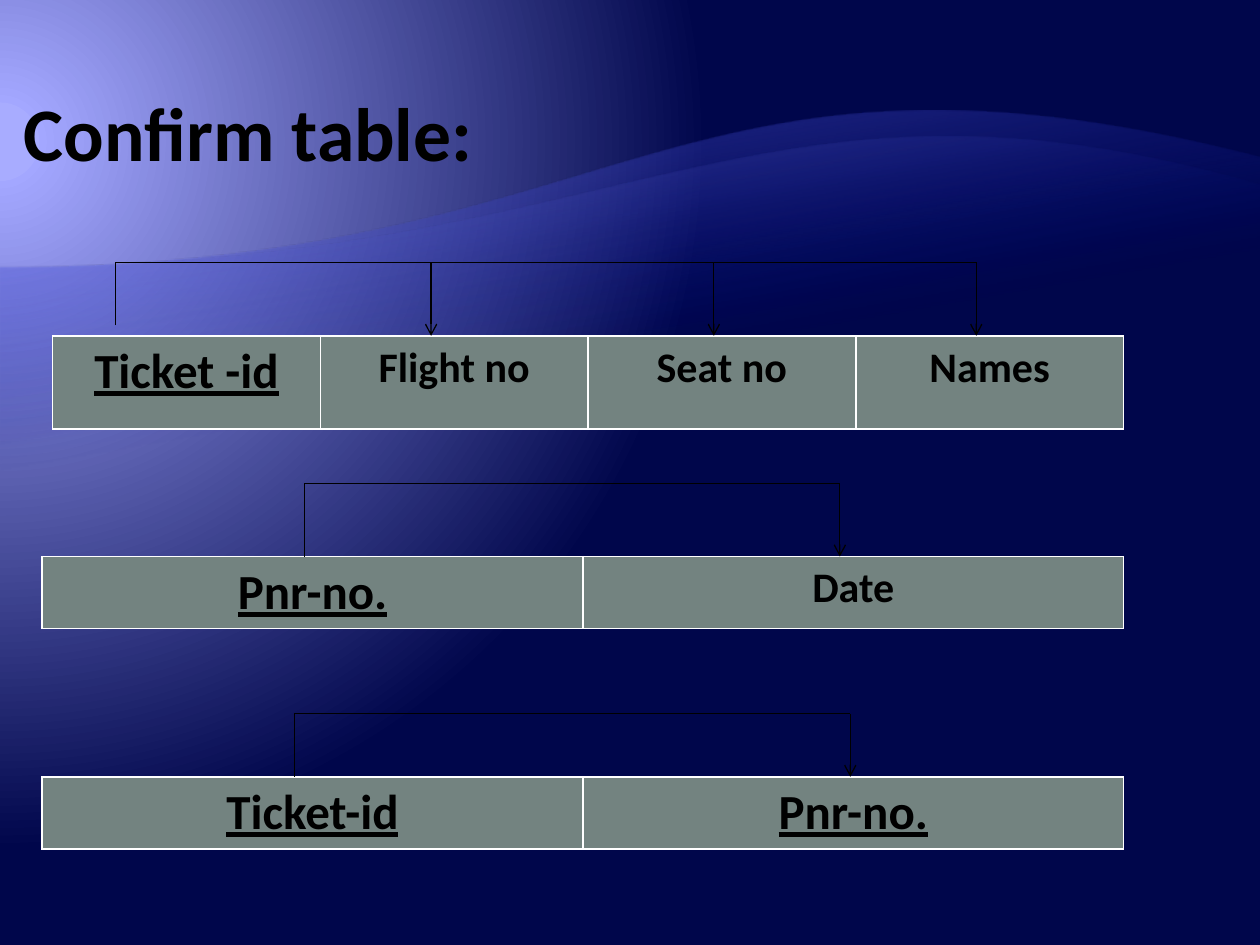
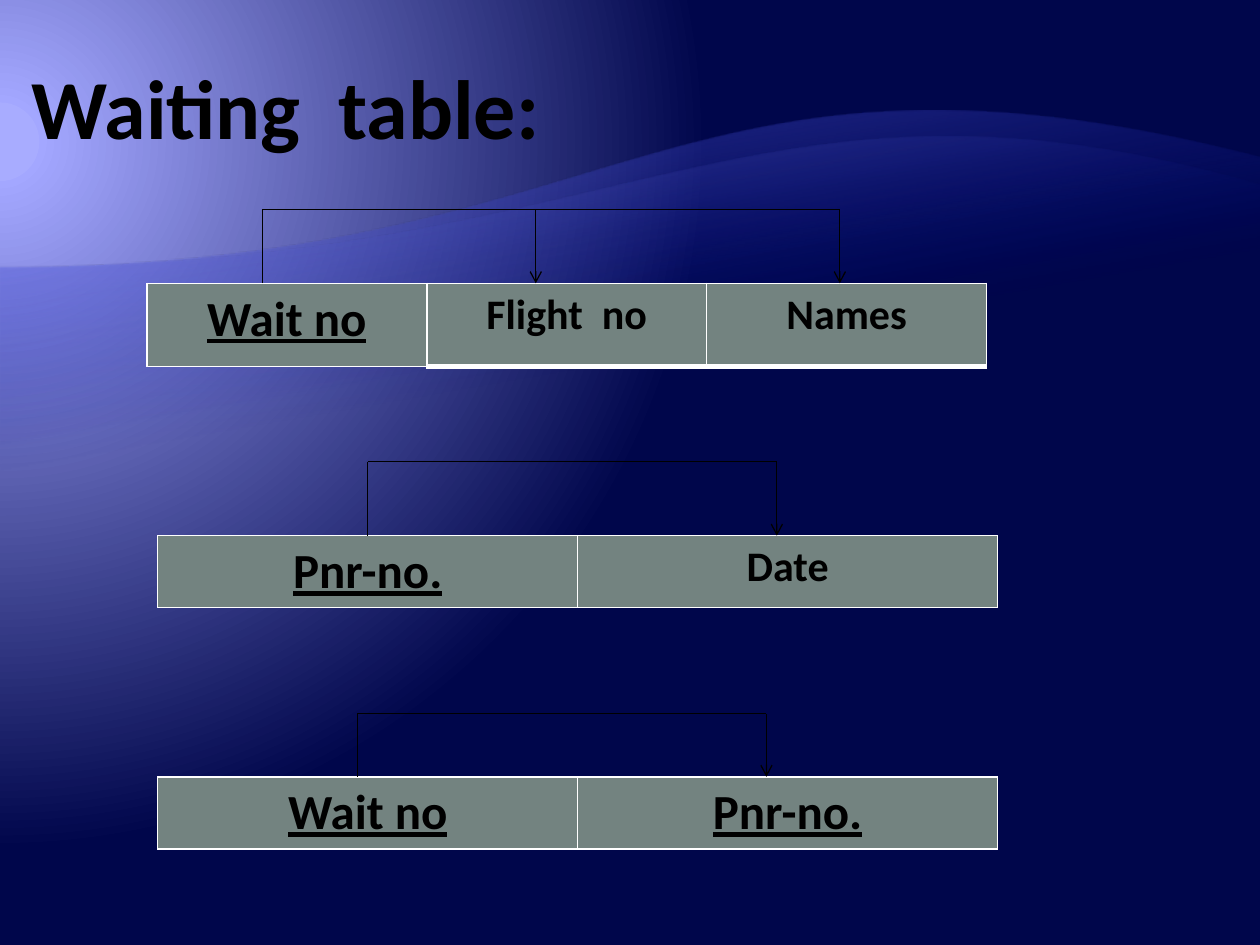
"""Build two slides of relation tables with arrows showing their functional dependencies."""
from dataclasses import dataclass

from pptx import Presentation
from pptx.dml.color import RGBColor
from pptx.enum.shapes import MSO_CONNECTOR
from pptx.enum.text import MSO_ANCHOR, PP_ALIGN
from pptx.oxml import parse_xml
from pptx.oxml.ns import nsdecls, qn
from pptx.util import Cm, Pt

BLACK = RGBColor(0x00, 0x00, 0x00)
WHITE = RGBColor(0xFF, 0xFF, 0xFF)
CELL_GREY = RGBColor(0x73, 0x83, 0x80)
GLOW = RGBColor(0xA8, 0xAC, 0xFF)
LAVENDER = RGBColor(0xA3, 0xA7, 0xFF)
NAVY = RGBColor(0x00, 0x06, 0x4B)
ROYAL = RGBColor(0x00, 0x0D, 0x9E)
PERIWINKLE = RGBColor(0x79, 0x7F, 0xFF)

FONT = "Calibri"
SLIDE_WIDTH, SLIDE_HEIGHT = 25.4, 19.05
KEY_SIZE, FIELD_SIZE = 28, 24
ROW_HEIGHT = 1.45
CURVE_STEPS = 60

GLOW_PATH = ('<a:path path="circle">'
             '<a:fillToRect l="20000" t="30000" r="135000" b="100000"/></a:path>')
WAVE_DIRECTION = f'<a:lin ang="{260 * 60000}" scaled="0"/>'


@dataclass
class Relation:
    """A one-row table whose first column determines the others; lengths in cm."""
    fields: list
    left: float
    top: float
    width: float
    bar_y: float
    stems: list
    keys: int = 1
    height: float = ROW_HEIGHT
    source_gap: float = 0
    field_bottom: float = 1


def gradient(stops, direction):
    """Return a gradient fill from (percent, colour, opacity) stops."""
    marks = "".join(
        f'<a:gs pos="{pos * 1000}"><a:srgbClr val="{color}">'
        f'<a:alpha val="{opacity * 1000}"/></a:srgbClr></a:gs>'
        for pos, color, opacity in stops)
    return parse_xml(f'<a:gradFill {nsdecls("a")} rotWithShape="1">'
                     f'<a:gsLst>{marks}</a:gsLst>{direction}</a:gradFill>')


def replace_solid(properties, fill):
    """Swap the solid fill directly inside a properties element."""
    properties.replace(properties.find(qn("a:solidFill")), fill)


def paint_background(slide):
    """Give the slide its radial glow."""
    slide.background.fill.solid()
    slide.background.fill.fore_color.rgb = NAVY
    stops = [(5, GLOW, 100), (5, LAVENDER, 100), (90, NAVY, 100)]
    replace_solid(slide.element.find(".//" + qn("p:bgPr")), gradient(stops, GLOW_PATH))


def bezier(points, t):
    """Return the point at t on a cubic curve."""
    weights = ((1 - t) ** 3, 3 * t * (1 - t) ** 2, 3 * t * t * (1 - t), t ** 3)
    return tuple(sum(w * p[axis] for w, p in zip(weights, points)) for axis in (0, 1))


def add_wave(slide, curve, bottom, color, opacity):
    """Draw a translucent area from a curved upper edge down to bottom."""
    edge = [bezier(curve, step / CURVE_STEPS) for step in range(CURVE_STEPS + 1)]
    outline = [(Cm(x), Cm(y)) for x, y in [(0, bottom), *edge, (SLIDE_WIDTH, bottom)]]
    builder = slide.shapes.build_freeform(*outline[0])
    builder.add_line_segments(outline[1:], close=True)
    wave = builder.convert_to_shape()
    wave.shadow.inherit = False
    wave.line.fill.background()
    wave.fill.solid()
    wave.fill.fore_color.rgb = color
    stops = [(65, ROYAL, 0), (100, color, opacity)]
    replace_solid(wave.element.spPr, gradient(stops, WAVE_DIRECTION))


def write(paragraph, text, size, align, underline=False):
    """Put bold black text in a paragraph."""
    paragraph.alignment = align
    run = paragraph.add_run()
    run.text = text
    font = run.font
    font.name, font.size, font.bold = FONT, Pt(size), True
    font.underline = underline
    font.color.rgb = BLACK


def add_title(slide, text, left, top, width, size, align):
    """Add the slide heading, resting on the bottom of its box."""
    frame = slide.shapes.add_textbox(Cm(left), Cm(top), Cm(width), Cm(2.33)).text_frame
    frame.word_wrap = True
    frame.vertical_anchor = MSO_ANCHOR.BOTTOM
    frame.margin_left = frame.margin_right = 0
    frame.margin_top = frame.margin_bottom = Cm(0.03)
    write(frame.paragraphs[0], text, size, align)


def set_borders(cell, bottom):
    """Outline a cell in white with its own bottom width in points."""
    widths = {"lnL": 1, "lnR": 1, "lnT": 1, "lnB": bottom}
    properties = cell._tc.get_or_add_tcPr()
    for index, (side, width) in enumerate(widths.items()):
        properties.insert(index, parse_xml(
            f'<a:{side} {nsdecls("a")} w="{Pt(width)}"><a:solidFill>'
            f'<a:srgbClr val="{WHITE}"/></a:solidFill></a:{side}>'))


def add_row_table(slide, relation):
    """Add the table of a relation, with underlined keys."""
    count = len(relation.fields)
    table = slide.shapes.add_table(1, count, Cm(relation.left), Cm(relation.top),
                                   Cm(relation.width), Cm(relation.height)).table
    table.first_row = table.horz_banding = False
    for index, field in enumerate(relation.fields):
        is_key = index < relation.keys
        cell = table.cell(0, index)
        cell.fill.solid()
        cell.fill.fore_color.rgb = CELL_GREY
        set_borders(cell, 1 if is_key else relation.field_bottom)
        write(cell.text_frame.paragraphs[0], field,
              KEY_SIZE if is_key else FIELD_SIZE, PP_ALIGN.CENTER, is_key)


def add_line(slide, start, end, arrow=False):
    """Draw a thin black line, with an open arrowhead if asked."""
    line = slide.shapes.add_connector(MSO_CONNECTOR.STRAIGHT, *map(Cm, start + end))
    line.line.color.rgb = BLACK
    line.line.width = Pt(0.75)
    properties = line._element.spPr
    if arrow:
        properties.find(qn("a:ln")).append(
            parse_xml(f'<a:tailEnd {nsdecls("a")} type="arrow"/>'))
    properties.append(parse_xml(f'<a:effectLst {nsdecls("a")}/>'))


def add_relation(slide, relation):
    """Add a table and the bracket leading from its key to its other fields."""
    add_row_table(slide, relation)
    bar_y, top = relation.bar_y, relation.top
    source, *targets = relation.stems
    add_line(slide, (source, top - relation.source_gap), (source, bar_y))
    add_line(slide, (source, bar_y), (targets[-1], bar_y))
    for x in targets:
        add_line(slide, (x, bar_y), (x, top), arrow=True)


def add_slide(prs, title, relations):
    """Add one slide with the shared backdrop, its title and its relations."""
    slide = prs.slides.add_slide(prs.slide_layouts[6])
    paint_background(slide)
    add_wave(slide, [(0, 5.4), (12.7, 5.4), (13.56, 0.13), (SLIDE_WIDTH, 3.18)],
             18.62, PERIWINKLE, 55)
    add_wave(slide, [(0, 5.4), (12.7, 5.4), (15.19, 0.79), (SLIDE_WIDTH, 3.73)],
             16.18, LAVENDER, 30)
    add_title(slide, *title)
    for relation in relations:
        add_relation(slide, relation)


def main():
    """Build and save the presentation."""
    prs = Presentation()
    prs.slide_width, prs.slide_height = Cm(SLIDE_WIDTH), Cm(SLIDE_HEIGHT)
    add_slide(prs, ("Confirm table:", 0, 1.27, 9.53, 43.2, PP_ALIGN.RIGHT), [
        Relation(["Ticket -id", "Flight no", "Seat no", "Names"], 1.06, 6.77, 21.59,
                 5.29, [2.33, 8.69, 14.39, 19.68], height=1.88, source_gap=0.21),
        Relation(["Pnr-no.", "Date"], 0.85, 11.22, 21.8, 9.74, [6.14, 16.93]),
        Relation(["Ticket-id", "Pnr-no."], 0.85, 15.66, 21.8, 14.39, [5.93, 17.14], keys=2),
    ])
    add_slide(prs, ("Waiting  table:", 0.64, 0.85, 11.22, 48, PP_ALIGN.LEFT), [
        Relation(["Wait no", "Flight  no", "Names"], 2.96, 5.71, 16.93,
                 4.23, [5.29, 10.8, 16.93], height=1.68, field_bottom=3),
        Relation(["Pnr-no.", "Date"], 3.18, 10.8, 16.93, 9.31, [7.41, 15.66]),
        Relation(["Wait no", "Pnr-no."], 3.18, 15.66, 16.93, 14.39, [7.2, 15.45], keys=2),
    ])
    prs.save("out.pptx")


if __name__ == "__main__":
    main()
